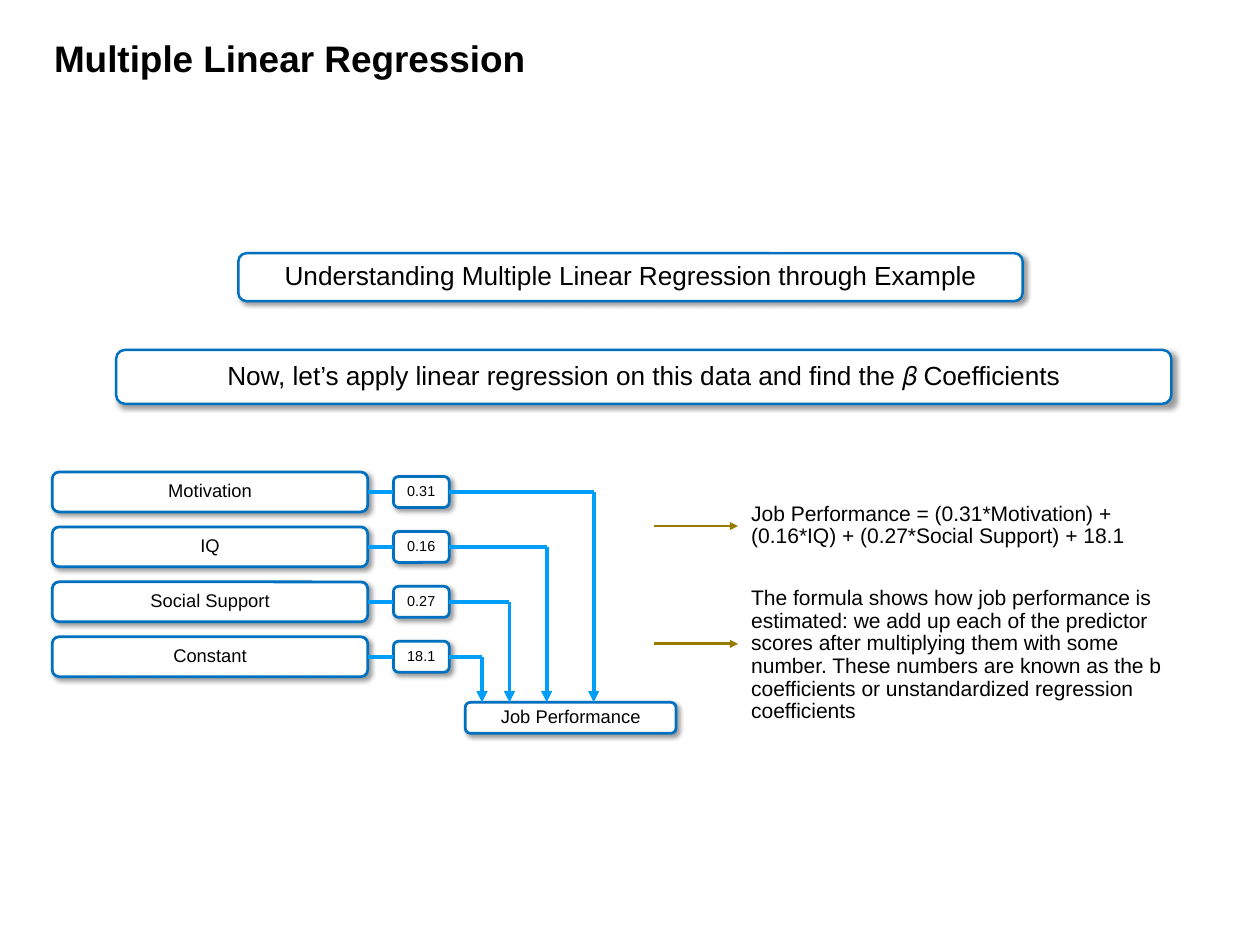
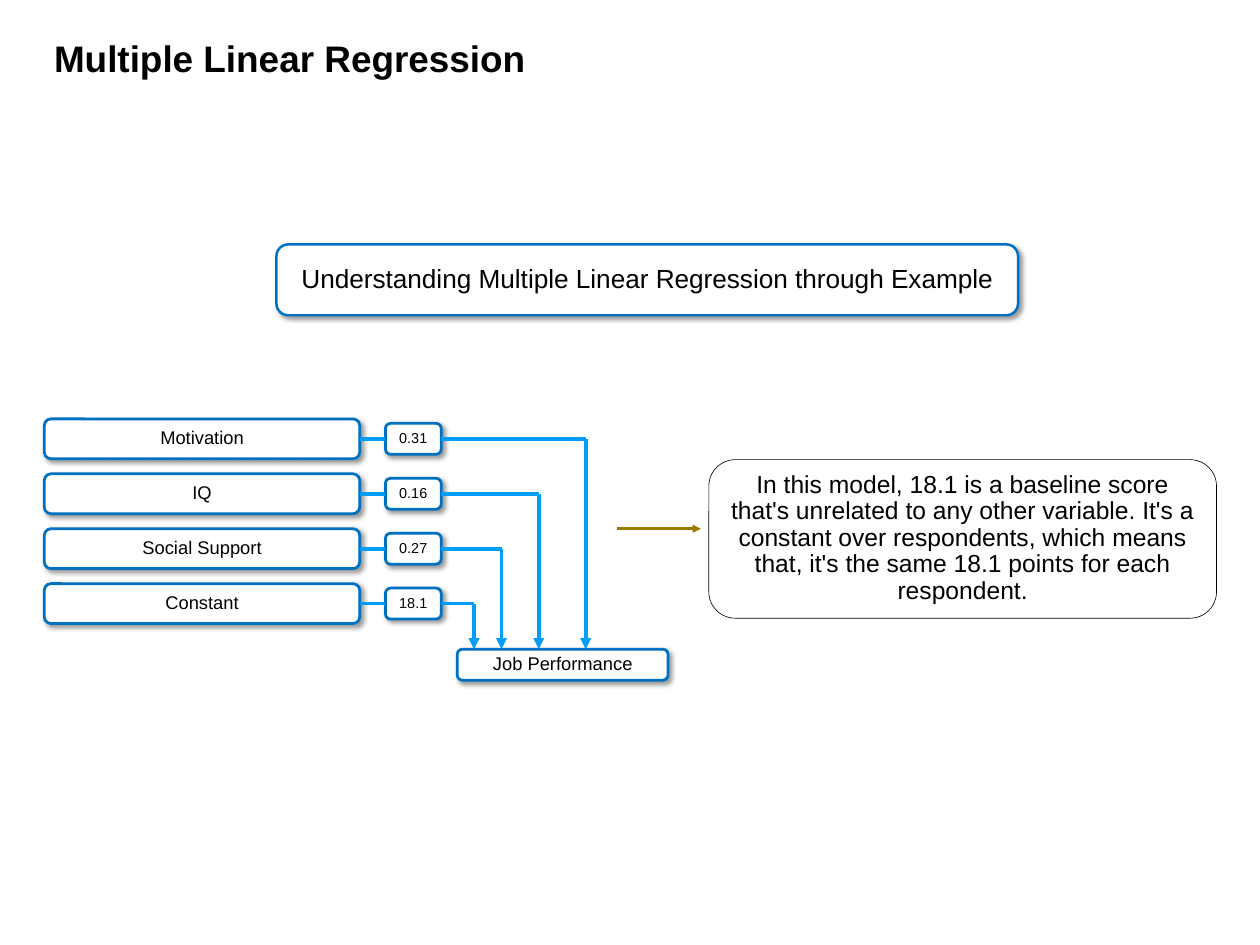
from pptx import Presentation
from pptx.dml.color import RGBColor
from pptx.enum.shapes import MSO_CONNECTOR as CONN, MSO_SHAPE as SHAPE
from pptx.enum.text import MSO_ANCHOR as ANCHOR, MSO_AUTO_SIZE as FIT, PP_ALIGN as ALIGN
from pptx.oxml import parse_xml
from pptx.oxml.ns import nsdecls
from pptx.util import Inches, Pt

COLORS = {
    "text": "000000",
    "fill": "FFFFFF",
    "border": "0070C0",
    "flow": "009EF9",
    "pointer": "987C00",
}
FONT = "Arial"
TITLE = "Multiple Linear Regression"
SUBTITLE = "Understanding Multiple Linear Regression through Example"
PREDICTORS = [
    ("Motivation", "0.31", 6.11),
    ("IQ", "0.16", 5.58),
    ("Social Support", "0.27", 5.16),
    ("Constant", "18.1", 4.85),
]


def rgb(name):
    """Return the named palette colour."""
    return RGBColor.from_string(COLORS[name])


def write(sp, text, size, align=ALIGN.LEFT, anchor=ANCHOR.TOP, bold=False):
    """Put one formatted paragraph into a shape."""
    tf = sp.text_frame
    tf.text = text
    tf.word_wrap = True
    tf.auto_size = FIT.NONE
    tf.vertical_anchor = anchor
    p = tf.paragraphs[0]
    p.alignment = align
    p.line_spacing = 0.9
    p.space_before = Pt(0)
    font = p.runs[0].font
    font.name = FONT
    font.size = Pt(size)
    font.bold = bold
    font.color.rgb = rgb("text")


def add_shadow(sp):
    """Give a shape the soft shadow of the boxes."""
    sp._element.spPr.append(parse_xml(
        f'<a:effectLst {nsdecls("a")}>'
        f'<a:outerShdw blurRad="{Pt(4)}" dist="{Pt(3)}" dir="2700000" algn="tl" rotWithShape="0">'
        f'<a:srgbClr val="{COLORS["text"]}"><a:alpha val="40000"/></a:srgbClr>'
        '</a:outerShdw></a:effectLst>'))


def add_box(slide, x, y, w, h, text, size, width=2.25, border="border",
            anchor=ANCHOR.MIDDLE, shadow=True):
    """Add a rounded, outlined box with centred text."""
    sp = slide.shapes.add_shape(SHAPE.ROUNDED_RECTANGLE, Inches(x), Inches(y), Inches(w), Inches(h))
    sp.fill.solid()
    sp.fill.fore_color.rgb = rgb("fill")
    sp.line.color.rgb = rgb(border)
    sp.line.width = Pt(width)
    if shadow:
        add_shadow(sp)
    else:
        sp.shadow.inherit = False
    write(sp, text, size, ALIGN.CENTER, anchor)
    return sp


def add_line(slide, x1, y1, x2, y2, color="flow", width=3, arrow=False):
    """Add a straight line, with an arrowhead at its end if asked."""
    line = slide.shapes.add_connector(CONN.STRAIGHT, Inches(x1), Inches(y1), Inches(x2), Inches(y2))
    line.line.color.rgb = rgb(color)
    line.line.width = Pt(width)
    if arrow:
        line.line._get_or_add_ln().append(parse_xml(f'<a:tailEnd {nsdecls("a")} type="triangle"/>'))
    line._element.spPr.append(parse_xml(f'<a:effectLst {nsdecls("a")}/>'))
    return line


def add_pointer(slide, x, y):
    """Add an arrow that leads to an explanation."""
    add_line(slide, x, y, x + 0.95, y, "pointer", 2.25, arrow=True)


def add_note(slide, x, y, w, h, text):
    """Add an explanation as plain text."""
    write(slide.shapes.add_textbox(Inches(x), Inches(y), Inches(w), Inches(h)), text, 17.1)


def add_diagram(slide, x, y):
    """Draw the predictors, their coefficients and the outcome from a top left corner."""
    bar_w, bar_h, pitch = 3.56, 0.45, 0.62
    value_x, value_w, value_h = x + 3.85, 0.63, 0.35
    outcome_y = y + 2.6
    add_box(slide, x + 4.66, outcome_y, 2.38, value_h, "Job Performance", 14.9)
    for i, (name, value, drop) in enumerate(PREDICTORS):
        top = y + i * pitch
        mid = top + bar_h / 2
        bar = add_box(slide, x, top, bar_w, bar_h, name, 14.9)
        coef = add_box(slide, value_x, mid - value_h / 2, value_w, value_h, value, 11.7)
        link = add_line(slide, x + bar_w, mid, value_x, mid)
        link.begin_connect(bar, 3)
        link.end_connect(coef, 1)
        run = add_line(slide, value_x + value_w, mid, x + drop, mid)
        run.begin_connect(coef, 3)
        add_line(slide, x + drop, mid, x + drop, outcome_y, arrow=True)


def add_slide(prs):
    """Add a slide with the shared title."""
    slide = prs.slides.add_slide(prs.slide_layouts[5])
    title = slide.shapes.title
    title.left, title.top, title.width, title.height = map(Inches, (0.51, 0.41, 7.34, 0.56))
    write(title, TITLE, 30, bold=True)
    return slide


def formula_slide(prs):
    """Build the slide that derives the formula."""
    slide = add_slide(prs)
    add_box(slide, 2.69, 2.86, 8.85, 0.54, SUBTITLE, 21.3, width=2)
    add_box(slide, 1.31, 3.95, 11.91, 0.61,
            "Now, let’s apply linear regression on this data and find the 𝛽 Coefficients",
            21.3, width=2)
    add_diagram(slide, 0.59, 5.33)
    add_pointer(slide, 7.38, 5.94)
    add_note(slide, 8.38, 5.63, 5.26, 0.62,
             "Job Performance = (0.31*Motivation) + (0.16*IQ) + (0.27*Social Support) + 18.1")
    add_pointer(slide, 7.38, 7.27)
    add_note(slide, 8.38, 6.58, 5.26, 1.65,
             "The formula shows how job performance is estimated: we add up each of the "
             "predictor scores after multiplying them with some number. These numbers are "
             "known as the b coefficients or unstandardized regression coefficients")


def baseline_slide(prs):
    """Build the slide that explains the constant."""
    slide = add_slide(prs)
    add_box(slide, 3.12, 2.76, 8.37, 0.8, SUBTITLE, 21.3, width=2)
    add_diagram(slide, 0.5, 4.73)
    add_box(slide, 8, 5.19, 5.73, 1.79,
            "In this model, 18.1 is a baseline score that's unrelated to any other variable. "
            "It's a constant over respondents, which means that, it's the same 18.1 points "
            "for each respondent.",
            20, width=0.5, border="text", anchor=ANCHOR.TOP, shadow=False)
    add_pointer(slide, 6.96, 5.97)


def main():
    """Build and save the presentation."""
    prs = Presentation()
    prs.slide_width, prs.slide_height = Inches(14.22), Inches(10.67)
    formula_slide(prs)
    baseline_slide(prs)
    prs.save("out.pptx")


if __name__ == "__main__":
    main()
